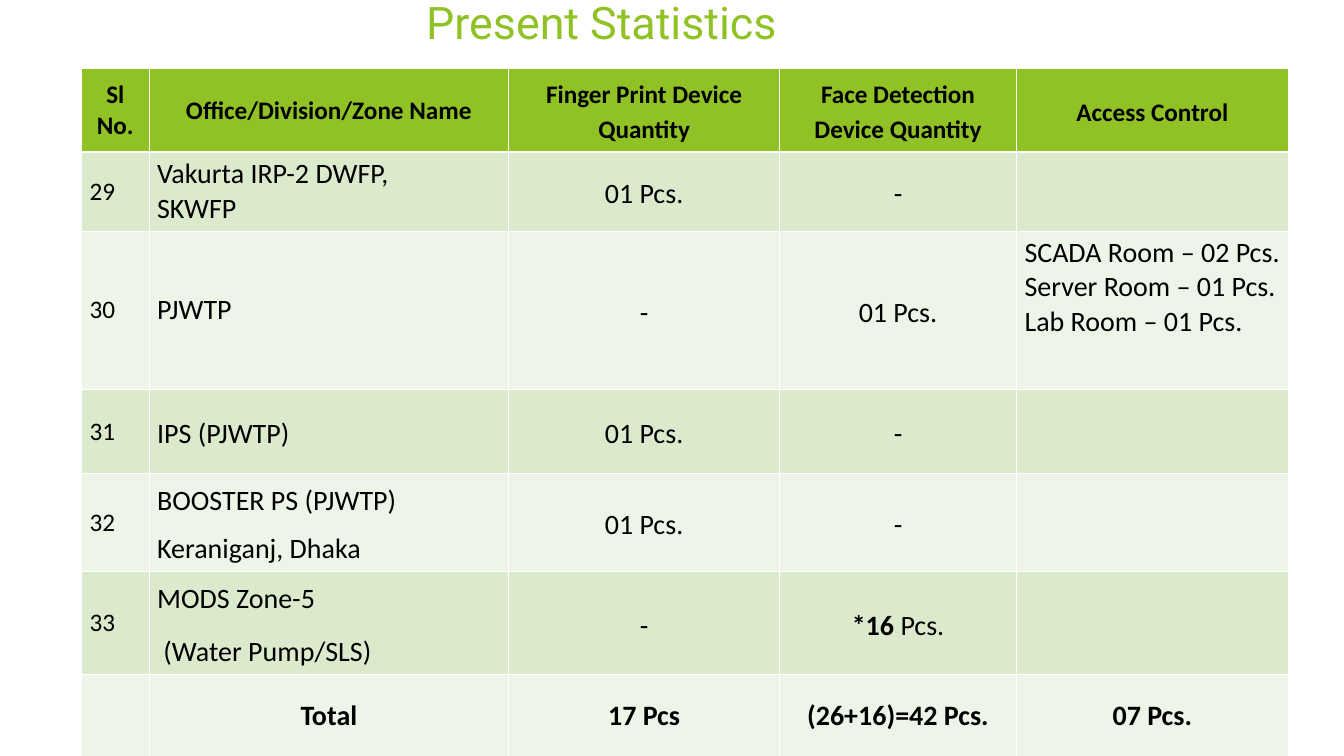
from dataclasses import dataclass

from lxml.etree import SubElement
from pptx import Presentation
from pptx.dml.color import RGBColor
from pptx.enum.text import MSO_ANCHOR as Anchor, PP_ALIGN as Align
from pptx.oxml.ns import qn
from pptx.util import Inches, Pt

GREEN, BLACK, WHITE = "90C226", "000000", "FFFFFF"
BANDS = ("EEF4E8", "DBE9CD")
COLUMNS = (0.67, 3.57, 2.69, 2.35, 2.7)
HEADINGS = ("Sl No.", "Office/Division/Zone Name", "Finger Print Device Quantity",
            "Face Detection Device Quantity", "Access Control")
TOTALS = ("", "Total", "17 Pcs", "(26+16)=42 Pcs.", "07 Pcs.")
HEADER_HEIGHT, TOTAL_HEIGHT = 0.83, 0.82
THIN, THICK = 0.45, 1.47


@dataclass
class Office:
    """One office: row height, name lines, how many of them are spaced, and devices."""
    height: float
    name: tuple
    spaced_lines: int
    finger: str
    face: str
    access: tuple = ()


OFFICES = (
    Office(0.74, ("Vakurta IRP-2 DWFP,", "SKWFP"), 0, "01 Pcs.", "-"),
    Office(1.57, ("PJWTP",), 0, "-", "01 Pcs.",
           ("SCADA Room – 02 Pcs.", "Server Room – 01 Pcs.", "Lab Room – 01 Pcs.")),
    Office(0.84, ("IPS (PJWTP)",), 1, "01 Pcs.", "-"),
    Office(0.86, ("BOOSTER PS (PJWTP)", "Keraniganj, Dhaka"), 1, "01 Pcs.", "-"),
    Office(0.91, ("MODS Zone-5", " (Water Pump/SLS)"), 2, "-", "*16 Pcs."),
)
FIRST_NUMBER = 29


def color(value):
    """Turn a hex string into a colour."""
    return RGBColor.from_string(value)


def style_cell(cell, fill, top=THIN, bottom=THIN):
    """Give a cell white borders, margins and a fill."""
    properties = cell._tc.get_or_add_tcPr()
    for side, width in (("L", THIN), ("R", THIN), ("T", top), ("B", bottom)):
        border = SubElement(properties, qn(f"a:ln{side}"), w=str(Pt(width)))
        solid = SubElement(border, qn("a:solidFill"))
        SubElement(solid, qn("a:srgbClr"), val=WHITE)
    cell.fill.solid()
    cell.fill.fore_color.rgb = color(fill)
    cell.margin_left = cell.margin_right = Inches(0.08)
    cell.margin_top = cell.margin_bottom = Inches(0.05)


def write_cell(cell, lines, size=20, bold=False, align=Align.LEFT, spaced=0,
               anchor=Anchor.MIDDLE):
    """Write lines into a cell, the first few with wider spacing and any * count bold."""
    cell.vertical_anchor = anchor
    frame = cell.text_frame
    for index, line in enumerate(lines):
        para = frame.add_paragraph() if index else frame.paragraphs[0]
        para.alignment = align
        if index < spaced:
            para.line_spacing, para.space_after = 1.15, Pt(10)
        para.font.name, para.font.size = "Calibri", Pt(size)
        para.font.bold, para.font.color.rgb = bold, color(BLACK)
        if line.startswith("*"):
            count, unit = line.split(" ")
            span = para.add_run()
            span.text, span.font.bold = f"{count} ", True
            line = unit
        para.add_run().text = line


def add_title(page, left, top, width, height):
    """Place and format the slide title."""
    title = page.shapes.title
    title.left, title.top, title.width, title.height = map(Inches, (left, top, width, height))
    title.text_frame.text = "Present Statistics"
    title.text_frame.vertical_anchor = Anchor.MIDDLE
    para = title.text_frame.paragraphs[0]
    para.alignment = Align.LEFT
    para.font.name, para.font.size = "Roboto", Pt(32)
    para.font.color.rgb = color(GREEN)


def write_office(cells, number, office):
    """Fill one office row."""
    write_cell(cells[0], (str(number),), size=18)
    write_cell(cells[1], office.name, spaced=office.spaced_lines)
    for cell, quantity in zip(cells[2:4], (office.finger, office.face)):
        write_cell(cell, (quantity,), align=Align.CENTER, spaced=1)
    write_cell(cells[4], office.access, anchor=Anchor.TOP)


def add_statistics(page, left, top):
    """Build the device table from its top left corner."""
    heights = (HEADER_HEIGHT, *(office.height for office in OFFICES), TOTAL_HEIGHT)
    table = page.shapes.add_table(len(heights), len(COLUMNS), Inches(left), Inches(top),
                                  Inches(sum(COLUMNS)), Inches(sum(heights))).table
    table.horz_banding = False
    for column, width in zip(table.columns, COLUMNS):
        column.width = Inches(width)
    rows = [list(row.cells) for row in table.rows]
    for index, (row, height) in enumerate(zip(table.rows, heights)):
        row.height = Inches(height)
        for cell in rows[index]:
            style_cell(cell, BANDS[index % 2] if index else GREEN,
                       THICK if index == 1 else THIN, THIN if index else THICK)
    for column, heading in enumerate(HEADINGS):
        write_cell(rows[0][column], (heading,), 18, True, Align.CENTER, int(column > 1))
    for index, office in enumerate(OFFICES):
        write_office(rows[index + 1], FIRST_NUMBER + index, office)
    for cell, total in zip(rows[-1], TOTALS):
        if total:
            write_cell(cell, (total,), bold=True, align=Align.CENTER)


def main():
    """Build and save the deck."""
    deck = Presentation()
    deck.slide_width, deck.slide_height = Inches(13.34), Inches(7.5)
    page = deck.slides.add_slide(deck.slide_layouts[5])
    add_title(page, 4.13, -0.08, 5.23, 0.59)
    add_statistics(page, 0.81, 0.68)
    deck.save("out.pptx")


if __name__ == "__main__":
    main()
